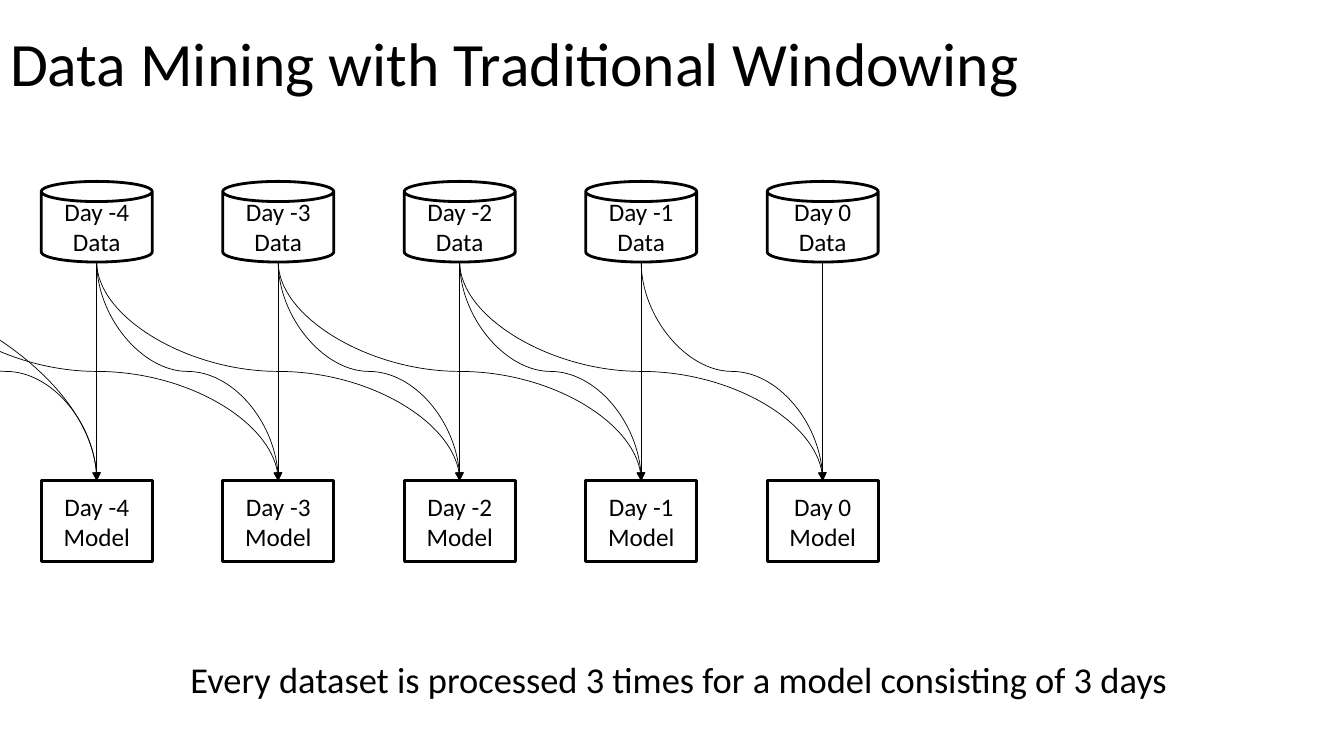
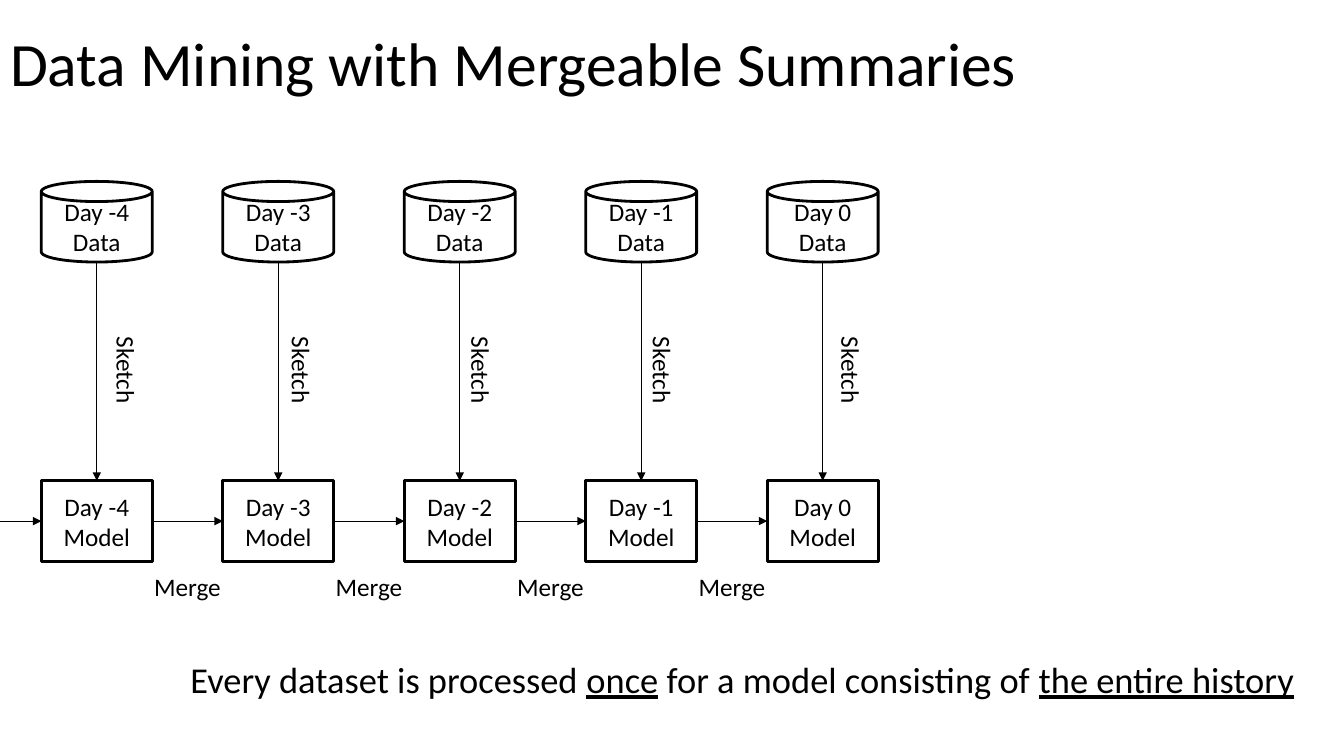
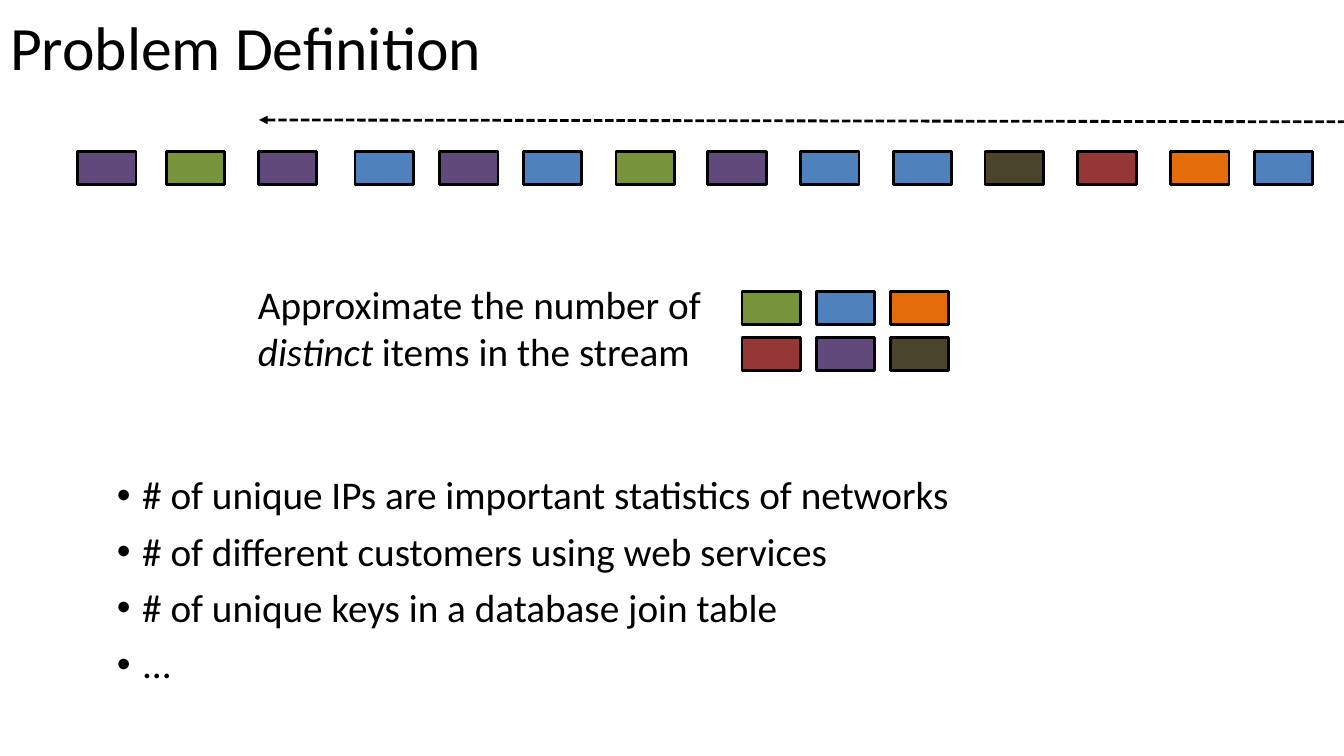
from lxml import etree
from pptx import Presentation, util as u
from pptx.dml.color import RGBColor
from pptx.enum import dml, shapes, text
from pptx.oxml.ns import qn

INK = {
    "black": "000000", "white": "FFFFFF", "blue": "4F81BD", "green": "77933C",
    "plum": "604A7B", "orange": "E46C0A", "brown": "4A452A", "red": "953735",
}
FONT = "Calibri"
STEP, WIDE, HIGH, DROP = 1.8, 1.1, 0.8, 2.97
DAYS = range(-4, 1)
KIND = shapes.MSO_SHAPE
LINK = shapes.MSO_CONNECTOR


def rgb(name):
    """Look up a colour by name."""
    return RGBColor.from_string(INK[name])


def put(item, x, y, w, h):
    """Move and size an item in inches."""
    item.left, item.top = u.Inches(x), u.Inches(y)
    item.width, item.height = u.Inches(w), u.Inches(h)


def write(para, runs, size):
    """Add runs, each a string or a (string, style) pair."""
    for part in runs:
        words, style = part if isinstance(part, tuple) else (part, None)
        run = para.add_run()
        run.text = words
        font = run.font
        font.name, font.size = FONT, u.Pt(size)
        font.color.rgb = rgb("black")
        if style:
            setattr(font, style, True)


def fill_text(frame, lines, size, align=text.PP_ALIGN.LEFT):
    """Write one paragraph for each list of runs."""
    for i, runs in enumerate(lines):
        para = frame.add_paragraph() if i else frame.paragraphs[0]
        para.alignment = align
        write(para, runs, size)


def label(slide, x, y, w, h, lines, size, turn=0):
    """Add an unwrapped text box."""
    box = slide.shapes.add_textbox(*map(u.Inches, (x, y, w, h)))
    box.rotation = turn
    box.text_frame.word_wrap = False
    box.text_frame.auto_size = text.MSO_AUTO_SIZE.SHAPE_TO_FIT_TEXT
    fill_text(box.text_frame, lines, size)


def block(slide, kind, x, y, w, h, fill=None, lines=()):
    """Add an outlined shape with centred text."""
    item = slide.shapes.add_shape(kind, *map(u.Inches, (x, y, w, h)))
    item.shadow.inherit = False
    if fill:
        item.fill.solid()
        item.fill.fore_color.rgb = rgb(fill)
    else:
        item.fill.background()
    item.line.color.rgb = rgb("black")
    item.line.width = u.Pt(2)
    item.text_frame.vertical_anchor = text.MSO_ANCHOR.MIDDLE
    fill_text(item.text_frame, lines, 18, text.PP_ALIGN.CENTER)
    return item


def arrow(slide, x1, y1, x2, y2, kind=LINK.STRAIGHT, width=0.5, dash=None, tip="a:tailEnd"):
    """Add a line with a triangle at one end."""
    wire = slide.shapes.add_connector(kind, *map(u.Inches, (x1, y1, x2, y2)))
    wire.line.color.rgb = rgb("black")
    wire.line.width = u.Pt(width)
    if dash:
        wire.line.dash_style = dash
    props = wire._element.spPr
    etree.SubElement(props.find(qn("a:ln")), qn(tip)).set("type", "triangle")
    etree.SubElement(props, qn("a:effectLst"))
    return wire


def swoop(slide, x1, y1, x2, y2):
    """Add an S-curve that leaves and arrives vertically."""
    wire = arrow(slide, x1, y1, x2, y2, LINK.CURVE)
    w, h = y2 - y1, x2 - x1
    put(wire, (x1 + x2 - w) / 2, (y1 + y2 - h) / 2, w, h)
    frame = wire._element.spPr.find(qn("a:xfrm"))
    frame.set("rot", "16200000")
    frame.set("flipH", "1")


def bend(slide, x1, y1, x2, y2):
    """Add a quarter curve that leaves level and arrives vertically."""
    wire = arrow(slide, x1, y1, x2, y2, LINK.CURVE)
    wire._element.spPr.find(qn("a:prstGeom")).set("prst", "curvedConnector2")


def head(slide, words, w, h):
    """Place and style the slide title."""
    title = slide.shapes.title
    put(title, 0, 0, w, h)
    frame = title.text_frame
    frame.word_wrap = True
    frame.auto_size = text.MSO_AUTO_SIZE.NONE
    frame.vertical_anchor = text.MSO_ANCHOR.MIDDLE
    fill_text(frame, [[words]], 44)
    frame.paragraphs[0].line_spacing = 0.9


def days(slide, x, y):
    """Draw the data and model rows with straight arrows between them."""
    models = []
    for i, day in enumerate(DAYS):
        left, name = x + i * STEP, f"Day {day}"
        block(slide, KIND.CAN, left, y, WIDE, HIGH, "white", [[name], ["Data"]])
        models.append(block(slide, KIND.RECTANGLE, left, y + DROP, WIDE, HIGH,
                            lines=[[name], ["Model"]]))
        mid = left + WIDE / 2
        arrow(slide, mid, y + HIGH, mid, y + DROP).end_connect(models[-1], 0)
    return models


def fan(slide, x, y):
    """Draw the curves from each data set to the next two models."""
    mid, top, low = x + WIDE / 2, y + HIGH, y + DROP
    for i in range(-1, len(DAYS)):
        for j in range(i + 1, min(i + 3, len(DAYS))):
            swoop(slide, mid + i * STEP, top, mid + j * STEP, low)
    bend(slide, mid - 2 * STEP, top, mid, low)


def chain(slide, models, x, y):
    """Draw the merge arrows and the sketch and merge labels."""
    level = y + DROP + HIGH / 2
    arrow(slide, x + WIDE - STEP, level, x, level).end_connect(models[0], 1)
    for i, (a, b) in enumerate(zip(models, models[1:])):
        left = x + i * STEP
        wire = arrow(slide, left + WIDE, level, left + STEP, level)
        wire.begin_connect(a, 3)
        wire.end_connect(b, 1)
        label(slide, left + 1.02, y + 3.82, 0.87, 0.4, [["Merge"]], 18)
    for shift in (0.41, 2.15, 3.93, 5.73, 7.6):
        label(slide, x + shift, y + 1.68, 0.87, 0.4, [["Sketch"]], 18, 90)


def stream(slide, x, y):
    """Draw the row of stream items under its dashed arrow."""
    items = [
        (0, "plum"), (0.88, "green"), (1.79, "plum"), (2.75, "blue"),
        (3.59, "plum"), (4.42, "blue"), (5.34, "green"), (6.25, "plum"),
        (7.17, "blue"), (8.09, "blue"), (9, "brown"), (9.92, "red"),
        (10.84, "orange"), (11.67, "blue"),
    ]
    for shift, fill in items:
        block(slide, KIND.RECTANGLE, x + shift, y, 0.58, 0.33, fill)
    arrow(slide, x + 1.8, y - 0.31, x + 13.25, y - 0.29, width=2,
          dash=dml.MSO_LINE.SQUARE_DOT, tip="a:headEnd")


def goal(slide, x, y):
    """State the task beside the grid of distinct items."""
    label(slide, x, y, 4.73, 1.04, [
        ["Approximate the number of"],
        [("distinct", "italic"), " items in the stream"],
    ], 28)
    rows = [("green", "blue", "orange"), ("red", "plum", "brown")]
    for r, row in enumerate(rows):
        for c, fill in enumerate(row):
            block(slide, KIND.RECTANGLE, x + 4.9 + c * 0.735, y + 0.16 + r * 0.46,
                  0.58, 0.33, fill)


def bullets(slide, x, y, w, h, lines):
    """Fill the body placeholder with a bullet list."""
    body = slide.placeholders[1]
    put(body, x, y, w, h)
    frame = body.text_frame
    frame.word_wrap = True
    frame.auto_size = text.MSO_AUTO_SIZE.NONE
    fill_text(frame, [[line] for line in lines], 28)
    for i, para in enumerate(frame.paragraphs):
        para.line_spacing = 0.9
        para.space_before = u.Pt(10 if i else 0)
        props = para._p.get_or_add_pPr()
        props.set("marL", str(u.Inches(0.25)))
        props.set("indent", str(-u.Inches(0.25)))
        etree.SubElement(props, qn("a:buFont")).set("typeface", "Arial")
        etree.SubElement(props, qn("a:buChar")).set("char", "•")


def flow(deck, title, note, w):
    """Add a slide with the day rows and a closing note."""
    slide = deck.slides.add_slide(deck.slide_layouts[5])
    head(slide, title, 12.73, 1.33)
    models = days(slide, 0.41, 1.8)
    label(slide, 1.79, 6.47, w, 0.54, [note], 26)
    return slide, models


def main():
    """Build and save the deck."""
    deck = Presentation()
    deck.slide_width, deck.slide_height = u.Inches(13.33), u.Inches(7.5)

    slide, _ = flow(deck, "Data Mining with Traditional Windowing", [
        "Every dataset is processed 3 times for a model consisting of 3 days"], 10.06)
    fan(slide, 0.41, 1.8)

    slide, models = flow(deck, "Data Mining with Mergeable Summaries", [
        "Every dataset is processed ", ("once", "underline"),
        " for a model consisting of ", ("the entire history", "underline")], 11.32)
    chain(slide, models, 0.41, 1.8)

    slide = deck.slides.add_slide(deck.slide_layouts[1])
    head(slide, "Problem Definition", 11.5, 1)
    stream(slide, 0.77, 1.5)
    goal(slide, 2.46, 2.73)
    bullets(slide, 1.06, 4.67, 11.5, 2.33, [
        "# of unique IPs are important statistics of networks",
        "# of different customers using web services",
        "# of unique keys in a database join table",
        "...",
    ])
    deck.save("out.pptx")


if __name__ == "__main__":
    main()
